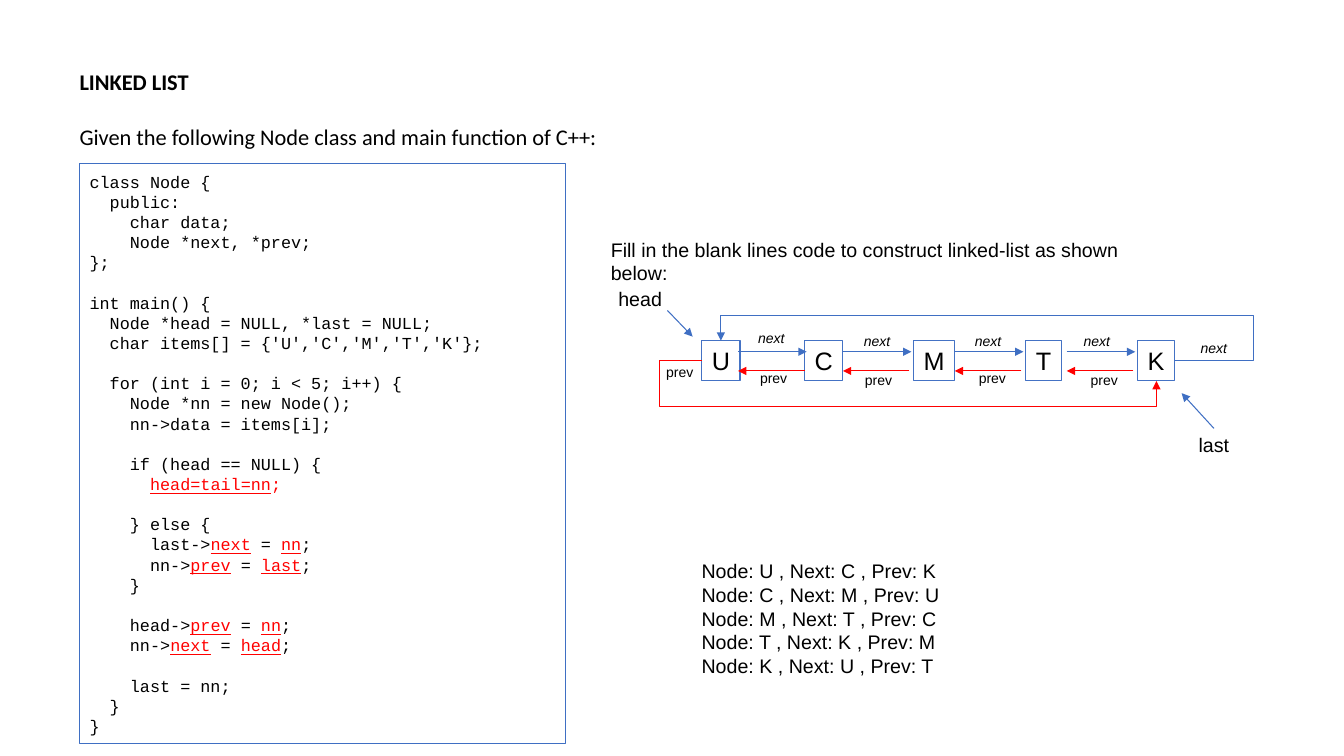
from lxml import etree
from pptx import Presentation
from pptx.dml.color import RGBColor
from pptx.enum import shapes, text
from pptx.oxml.ns import qn
from pptx.util import Inches, Pt

# ---- Content ----
HEADING = "LINKED LIST"
INTRO = "Given the following Node class and main function of C++:"
TASK = "Fill in the blank lines code to construct linked-list as shown below:"

# ~...~ is a filled-in answer, a leading ! makes the rest of the line red too
CODE = """class Node {
  public:
    char data;
    Node *next, *prev;
};

int main() {
  Node *head = NULL, *last = NULL;
  char items[] = {'U','C','M','T','K'};

  for (int i = 0; i < 5; i++) {
    Node *nn = new Node();
    nn->data = items[i];

    if (head == NULL) {
!      ~head=tail=nn~;

    } else {
      last->~next~ = ~nn~;
      nn->~prev~ = ~last~;
    }

    head->~prev~ = ~nn~;
    nn->~next~ = ~head~;

    last = nn;
  }
}"""

# letter, left, width
NODES = [("U", 6.96, 0.38), ("C", 7.98, 0.38), ("M", 9.06, 0.41),
         ("T", 10.17, 0.36), ("K", 11.28, 0.37)]
NODE_TOP, NODE_H = 3.38, 0.4
ARROW_LEFTS = [7.32, 8.36, 9.47, 10.58]
NEXT_LABELS = [(7.42, 3.22), (8.47, 3.25), (9.57, 3.25), (10.65, 3.25), (11.81, 3.32)]
PREV_LABELS = [(7.44, 3.62), (8.48, 3.64), (9.61, 3.62), (10.72, 3.64), (6.51, 3.56)]

BLACK, RED, BLUE, NODE_BLUE = "000000", "FF0000", "3F6FC3", "4472C4"
LEFT, CENTER = text.PP_ALIGN.LEFT, text.PP_ALIGN.CENTER

prs = Presentation()
prs.slide_width, prs.slide_height = Inches(13.33), Inches(7.5)
s = prs.slides.add_slide(prs.slide_layouts[6])


def rgb(value):
    return RGBColor.from_string(value)


def style(p, size, name="Arial", italic=False, align=LEFT):
    p.alignment = align
    f = p.font
    f.size, f.name, f.italic, f.color.rgb = Pt(size), name, italic, rgb(BLACK)


def text_box(x, y, w, h, lines, size, wrap=True, **look):
    tf = s.shapes.add_textbox(*map(Inches, (x, y, w, h))).text_frame
    tf.word_wrap = wrap
    for i, line in enumerate(lines):
        p = tf.paragraphs[0] if i == 0 else tf.add_paragraph()
        p.text = line
        style(p, size, **look)
    return tf


def outlined_box(x, y, w, h, color):
    sp = s.shapes.add_shape(shapes.MSO_SHAPE.RECTANGLE, *map(Inches, (x, y, w, h)))
    sp.shadow.inherit = False
    sp.fill.background()
    sp.line.color.rgb, sp.line.width = rgb(color), Pt(0.75)
    return sp.text_frame


def arrow(start, end, color, kind=shapes.MSO_CONNECTOR.STRAIGHT):
    c = s.shapes.add_connector(kind, *map(Inches, start + end))
    c.line.color.rgb, c.line.width = rgb(color), Pt(0.75)
    etree.SubElement(c.line._get_or_add_ln(), qn("a:tailEnd"), type="triangle")
    etree.SubElement(c._element.spPr, qn("a:effectLst"))
    return c


def loop_arrow(start, end, side_x, far_y, color):
    """Leave sideways to side_x, run along far_y, then turn into end."""
    c = arrow(start, end, color, shapes.MSO_CONNECTOR.ELBOW)
    geom = c._element.spPr.find(qn("a:prstGeom"))
    geom.set("prst", "bentConnector4")
    guides = geom.find(qn("a:avLst"))
    if guides is None:
        guides = etree.SubElement(geom, qn("a:avLst"))
    for i, turn in enumerate((side_x, far_y)):
        share = (turn - start[i]) / (end[i] - start[i])
        etree.SubElement(guides, qn("a:gd"), name=f"adj{i + 1}",
                         fmla=f"val {round(share * 100000)}")


# ---- Heading ----
tf = text_box(0.69, 0.63, 11.35, 0.91, [HEADING, INTRO], 16, name="Calibri")
tf.paragraphs[0].font.bold = True
tf.paragraphs[1].space_before = Pt(19.5)

# ---- Code panel ----
LINE_PT = 14.4
tf = outlined_box(0.79, 1.62, 4.82, 5.76, BLUE)
tf.word_wrap = True
p, gap = tf.paragraphs[0], False
for i, line in enumerate(CODE.split("\n")):
    if not line:
        gap = True
        continue
    if i:
        p = tf.add_paragraph()
    style(p, 12, "Courier New")
    p.line_spacing = Pt(LINE_PT)
    if gap:
        p.space_before = Pt(LINE_PT)
    gap = False
    all_red = line.startswith("!")
    for j, part in enumerate(line.lstrip("!").split("~")):
        if not part:
            continue
        r = p.add_run()
        r.text = part
        answer = j % 2 == 1
        if answer:
            r.font.underline = True
        if answer or all_red:
            r.font.color.rgb = rgb(RED)

# ---- Linked-list diagram ----
text_box(5.96, 2.31, 5.6, 0.57, [TASK], 14)
for letter, x, w in NODES:
    tf = outlined_box(x, NODE_TOP, w, NODE_H, NODE_BLUE)
    tf.word_wrap = False
    tf.paragraphs[0].text = letter
    style(tf.paragraphs[0], 18, align=CENTER)

for x in ARROW_LEFTS:
    arrow((x, 3.49), (x + 0.68, 3.49), BLUE)
    arrow((x + 0.66, 3.68), (x, 3.68), RED)
loop_arrow((11.65, 3.58), (7.15, 3.38), 12.43, 3.13, BLUE)
loop_arrow((6.96, 3.58), (11.47, 3.78), 6.54, 4.03, RED)

for label, spots in (("next", NEXT_LABELS), ("prev", PREV_LABELS)):
    for x, y in spots:
        text_box(x, y, 0.47, 0.27, [label], 10, wrap=False, italic=label == "next")

# ---- Head and last pointers ----
text_box(6.03, 2.8, 0.64, 0.34, ["head"], 14, wrap=False, align=CENTER)
arrow((6.62, 3.08), (6.87, 3.34), BLUE)
text_box(11.72, 4.25, 0.64, 0.34, ["last"], 14, wrap=False, align=CENTER)
arrow((12.04, 4.25), (11.72, 3.9), BLUE)

# ---- Node summary: each node with its circular neighbours ----
letters = [n[0] for n in NODES]
summary = [f"Node: {c} , Next: {letters[(i + 1) % len(letters)]} , Prev: {letters[i - 1]}"
           for i, c in enumerate(letters)]
text_box(6.86, 5.5, 6.4, 1.28, summary, 14)

prs.save("out.pptx")
